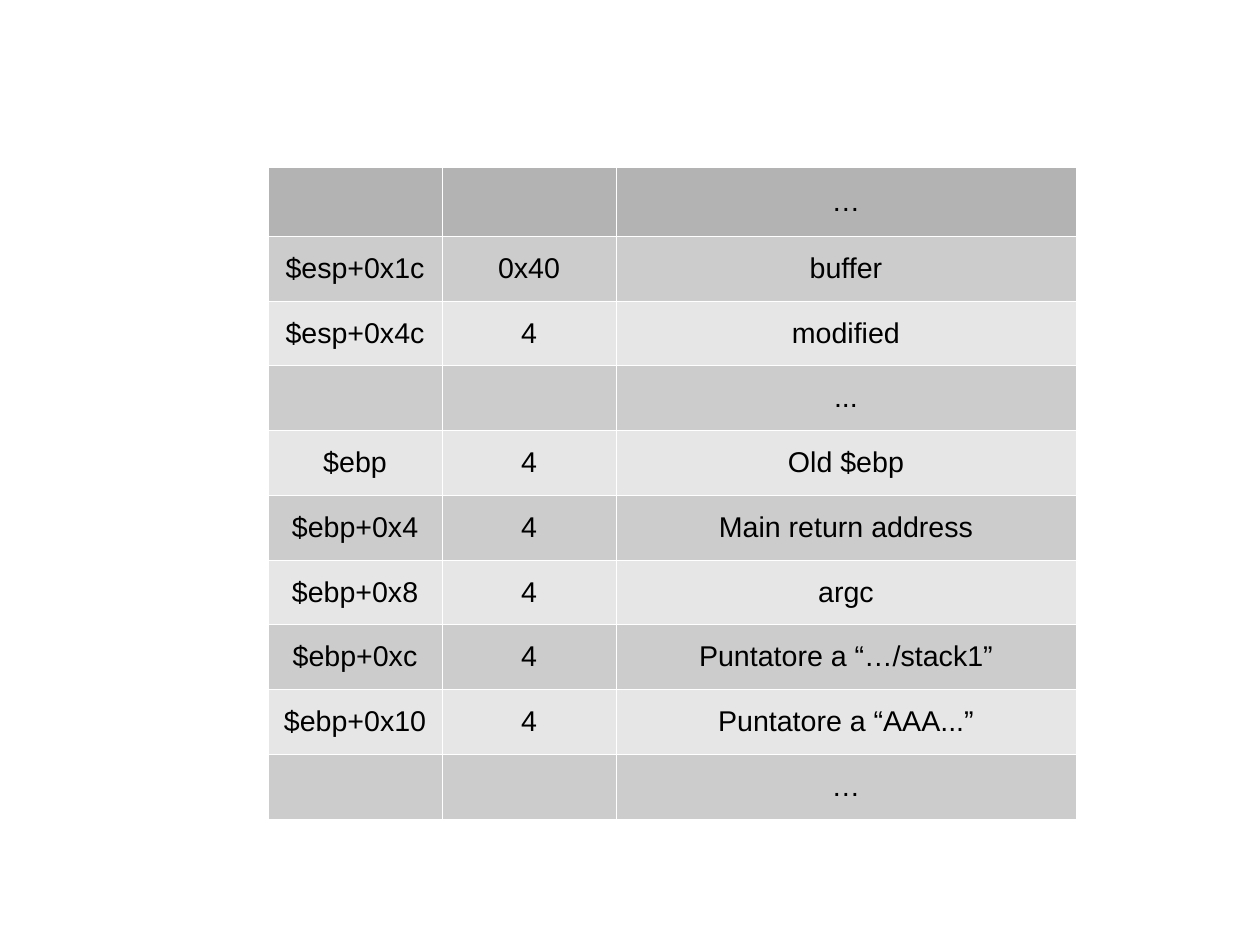
import pptx
import pptx.dml.color
import pptx.enum.text
import pptx.util
from lxml import etree
from pptx.oxml.ns import qn

# Content: address, size, meaning
STACK_ROWS = [
    ("", "", "…"),
    ("$esp+0x1c", "0x40", "buffer"),
    ("$esp+0x4c", "4", "modified"),
    ("", "", "..."),
    ("$ebp", "4", "Old $ebp"),
    ("$ebp+0x4", "4", "Main return address"),
    ("$ebp+0x8", "4", "argc"),
    ("$ebp+0xc", "4", "Puntatore a “…/stack1”"),
    ("$ebp+0x10", "4", "Puntatore a “AAA...”"),
    ("", "", "…"),
]

# Style and layout, lengths in px
RGB = pptx.dml.color.RGBColor
HEADER, DARK, LIGHT = RGB(0xB3, 0xB3, 0xB3), RGB(0xCC, 0xCC, 0xCC), RGB(0xE6, 0xE6, 0xE6)
BLACK, WHITE = RGB(0, 0, 0), RGB(255, 255, 255)
SCALE = 8000  # EMU per px
LEFT, TOP = 268, 167
COL_WIDTHS = [174, 174, 460]
HEADER_HEIGHT, BODY_HEIGHT = 69, 583
BORDER = pptx.util.Pt(0.06)


def px(n):
    return pptx.util.Emu(round(n * SCALE))


def add_borders(cell):
    tcPr = cell._tc.get_or_add_tcPr()
    for side in ("lnL", "lnR", "lnT", "lnB"):
        ln = etree.SubElement(tcPr, qn("a:" + side), w=str(BORDER))
        fill = etree.SubElement(ln, qn("a:solidFill"))
        etree.SubElement(fill, qn("a:srgbClr"), val=str(WHITE))


def fill_cell(cell, text, color):
    add_borders(cell)
    cell.fill.solid()
    cell.fill.fore_color.rgb = color
    cell.vertical_anchor = pptx.enum.text.MSO_ANCHOR.MIDDLE
    p = cell.text_frame.paragraphs[0]
    p.alignment = pptx.enum.text.PP_ALIGN.CENTER
    p.font.name = "Arial"
    p.font.size = pptx.util.Pt(18)
    p.font.color.rgb = BLACK
    if text:
        p.add_run().text = text


def main():
    prs = pptx.Presentation()
    prs.slide_width, prs.slide_height = px(1260), px(945)
    s = prs.slides.add_slide(prs.slide_layouts[6])

    # Stack table
    table = s.shapes.add_table(
        len(STACK_ROWS), len(COL_WIDTHS), px(LEFT), px(TOP),
        px(sum(COL_WIDTHS)), px(HEADER_HEIGHT + BODY_HEIGHT)).table
    table.first_row = table.horz_banding = False
    for column, width in zip(table.columns, COL_WIDTHS):
        column.width = px(width)

    # Header row, then alternating body rows of equal height
    for i, texts in enumerate(STACK_ROWS):
        table.rows[i].height = px(BODY_HEIGHT / (len(STACK_ROWS) - 1) if i else HEADER_HEIGHT)
        color = HEADER if i == 0 else DARK if i % 2 else LIGHT
        for j, text in enumerate(texts):
            fill_cell(table.cell(i, j), text, color)

    prs.save("out.pptx")


if __name__ == "__main__":
    main()
